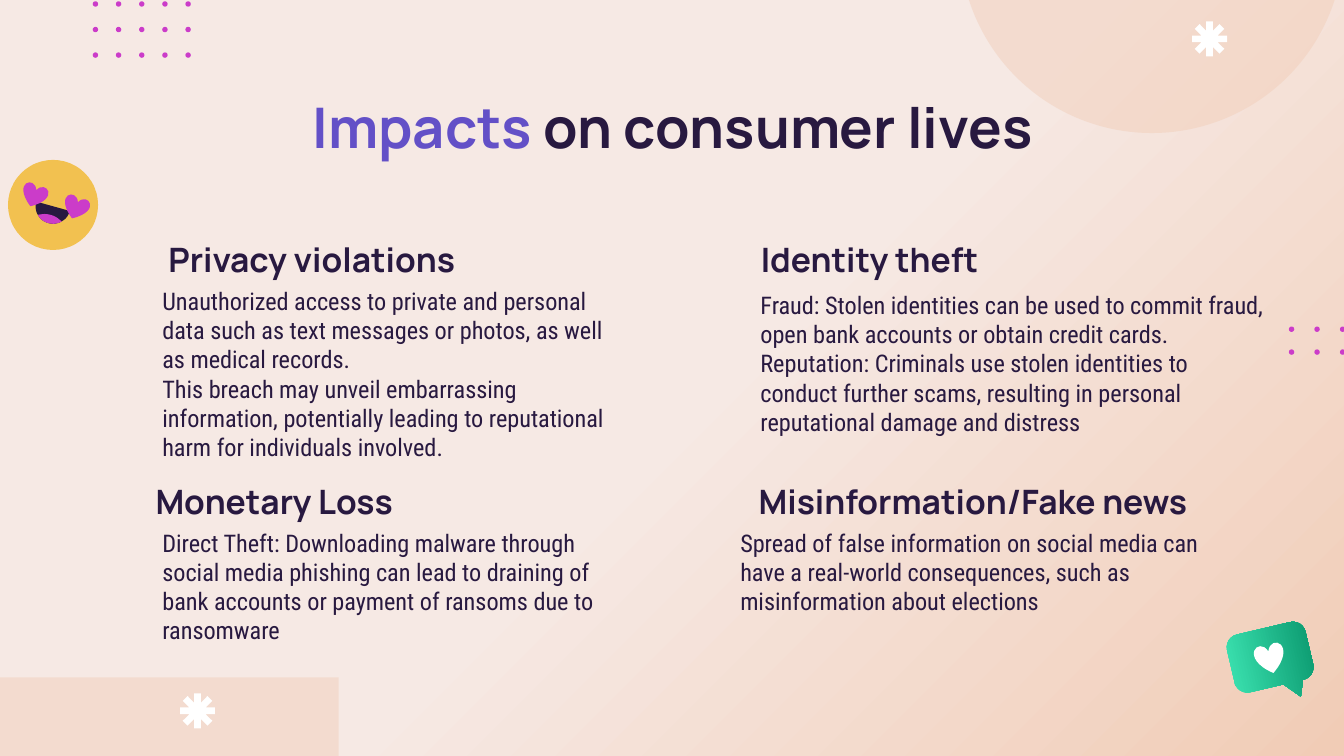
from copy import deepcopy
from itertools import product
from math import cos, radians, sin

from lxml import etree
from pptx import Presentation
from pptx import util as u
from pptx.dml.color import RGBColor
from pptx.enum import shapes, text
from pptx.oxml import ns

HUE = {
    "ink": "281940", "violet": "6350C7", "pink": "CB3CC9", "gold": "F2C150",
    "pale": "F6E9E4", "peach": "F1CCB6", "white": "FFFFFF",
    "mint": "3FE7B5", "green": "09966C",
}
KIND = shapes.MSO_SHAPE
TOP, BASE = text.MSO_ANCHOR.TOP, text.MSO_ANCHOR.BOTTOM
LEFT, MID = text.PP_ALIGN.LEFT, text.PP_ALIGN.CENTER
STYLE = {
    "title": {"name": "Manrope", "size": u.Pt(30), "bold": True},
    "head": {"name": "Manrope", "size": u.Pt(18), "bold": True},
    "body": {"name": "Roboto Condensed", "size": u.Pt(13), "bold": False},
}
PAD = u.Inches(0.1)
FRAME = {
    "word_wrap": True, "margin_left": PAD, "margin_right": PAD,
    "margin_top": PAD, "margin_bottom": PAD,
}


def tint(name):
    return RGBColor.from_string(HUE[name])


def blend(fill, stops, angle):
    """Fill with a linear gradient of two (position, colour) stops."""
    fill.gradient()
    fill.gradient_angle = angle
    for stop, (pos, name) in zip(fill.gradient_stops, stops):
        stop.position = pos
        stop.color.rgb = tint(name)


def paint(shape, name, alpha=None):
    shape.shadow.inherit = False
    shape.line.fill.background()
    shape.fill.solid()
    shape.fill.fore_color.rgb = tint(name)
    if alpha:
        clr = shape.fill._xPr.find(".//" + ns.qn("a:srgbClr"))
        etree.SubElement(clr, ns.qn("a:alpha"), val=str(alpha * 1000))


def stamp(slide, kind, box, name, turn=0, alpha=None):
    """Add a preset shape in a flat colour."""
    shape = slide.shapes.add_shape(kind, *map(u.Inches, box))
    shape.rotation = turn
    paint(shape, name, alpha)
    return shape


def trace(slide, points, name):
    """Add a closed outline through points given in inches."""
    pts = [(x * 1000, y * 1000) for x, y in points]
    pen = slide.shapes.build_freeform(*pts[0], scale=914.4)
    pen.add_line_segments(pts[1:], close=True)
    paint(pen.convert_to_shape(), name)


def spin(x, y, mid, turn):
    c, s = cos(radians(turn)), sin(radians(turn))
    return mid[0] + x * c - y * s, mid[1] + x * s + y * c


def dots(slide, box, cols, rows):
    """Spread dots evenly over a box."""
    left, top, width, height = box
    size = 0.04
    dx, dy = (width - size) / (cols - 1), (height - size) / (rows - 1)
    for i, j in product(range(cols), range(rows)):
        spot = (left + i * dx, top + j * dy, size, size)
        stamp(slide, KIND.OVAL, spot, "pink")


def star(slide, mid):
    """Add an asterisk with eight arms."""
    half, reach = 0.025, 0.13
    notch = half / sin(radians(22.5))
    arm = [(reach, -half), (reach, half),
           (notch * cos(radians(22.5)), half)]
    trace(slide, [spin(x, y, mid, 45 * k)
                  for k in range(8) for x, y in arm], "white")


def smile(slide, left, top):
    """Add the round face with heart eyes."""
    size, rad, tilt = 0.67, 0.13, 15.6
    stamp(slide, KIND.OVAL, (left, top, size, size), "gold")
    mid = (left + 0.335, top + 0.345)

    def curve(start, end):
        step = 5 if end > start else -5
        return [radians(a) for a in range(start, end + step, step)]

    mouth = [(rad * cos(a), rad * sin(a)) for a in curve(0, 180)]
    tongue = [(rad * cos(a), rad * sin(a)) for a in curve(45, 135)]
    tongue += [(rad * cos(a), 0.066 + 0.052 * cos(a) ** 2)
               for a in curve(135, 45)]
    for part, name in ((mouth, "ink"), (tongue, "pink")):
        trace(slide, [spin(x, y, mid, tilt) for x, y in part], name)
    for x, y in ((0.1, 0.18), (0.41, 0.27)):
        stamp(slide, KIND.HEART, (left + x, top + y, 0.19, 0.17), "pink", 20)


def like(slide, left, top):
    """Add the speech bubble with a heart."""
    turn = -13.2
    box = (left, top, 0.6, 0.44)
    bub = stamp(slide, KIND.ROUNDED_RECTANGULAR_CALLOUT, box, "mint", turn)
    for i, val in enumerate((0.26, 0.77, 0.22)):
        bub.adjustments[i] = val
    blend(bub.fill, ((0, "mint"), (1, "green")), 0)
    stamp(slide, KIND.HEART, (left + 0.19, top + 0.12, 0.22, 0.22),
          "white", turn)


def write(slide, box, paras, style, align=LEFT, anchor=TOP):
    """Add text; each paragraph is a list of (words, colour) runs.

    A newline within a run becomes a line break in the same style.
    """
    frame = slide.shapes.add_textbox(*map(u.Inches, box)).text_frame
    for key, val in {**FRAME, "vertical_anchor": anchor}.items():
        setattr(frame, key, val)
    for i, runs in enumerate(paras):
        para = frame.add_paragraph() if i else frame.paragraphs[0]
        para.alignment = align
        for words, name in runs:
            for k, line in enumerate(words.split("\n")):
                if k:
                    para.add_line_break()
                    para._p[-1].append(deepcopy(run._r.rPr))
                run = para.add_run()
                run.text = line
                for key, val in STYLE[style].items():
                    setattr(run.font, key, val)
                run.font.color.rgb = tint(name)


def topic(slide, head, spot, title, lines):
    """Add a heading centred in one box and its text in another."""
    write(slide, spot, [[(line, "ink")] for line in lines], "body")
    write(slide, head, [[(title, "ink")]], "head", MID, BASE)


def decor(slide):
    blend(slide.background.fill, ((0.52, "pale"), (1, "peach")), 315)
    stamp(slide, KIND.OVAL, (7.14, -1.87, 2.86, 2.86), "peach", alpha=45)
    dots(slide, (0.69, 0.01, 0.73, 0.42), 5, 3)
    dots(slide, (9.59, 2.43, 0.42, 0.21), 3, 2)
    star(slide, (9, 0.29))
    stamp(slide, KIND.RECTANGLE, (-0.5, 5.04, 3.02, 1.5), "peach", alpha=45)
    star(slide, (1.47, 5.29))
    smile(slide, 0.06, 1.19)


TOPICS = [
    ((0.49, 1.6, 3.66, 0.58), (1.11, 2.03, 3.66, 1.19),
     "Privacy violations",
     ["Unauthorized access to private and personal data such as text "
      "messages or photos, as well as medical records. \n"
      "This breach may unveil embarrassing information, potentially "
      "leading to reputational harm for individuals involved."]),
    ((4.64, 1.6, 3.66, 0.58), (5.56, 2.06, 3.96, 0.92),
     "Identity theft",
     ["Fraud: Stolen identities can be used to commit fraud, open bank "
      "accounts or obtain credit cards.",
      "Reputation: Criminals use stolen identities to conduct further "
      "scams, resulting in personal reputational damage and distress"]),
    ((-0.05, 3.4, 4.18, 0.58), (1.11, 3.83, 3.66, 1.19),
     "Monetary Loss",
     ["Direct Theft: Downloading malware through social media phishing can "
      "lead to draining of bank accounts or payment of ransoms due to "
      "ransomware"]),
    ((5.41, 3.4, 3.66, 0.58), (5.41, 3.83, 3.66, 0.92),
     "Misinformation/Fake news",
     ["Spread of false information on social media can have a real-world "
      "consequences, such as misinformation about elections"]),
]


def main():
    deck = Presentation()
    deck.slide_width = u.Inches(10)
    deck.slide_height = deck.slide_width * 9 // 16
    slide = deck.slides.add_slide(deck.slide_layouts[6])
    decor(slide)
    write(slide, (0.79, 0.59, 8.43, 0.63),
          [[("Impacts ", "violet"), ("on consumer lives", "ink")]],
          "title", MID)
    for item in TOPICS:
        topic(slide, *item)
    like(slide, 9.15, 4.67)
    deck.save("out.pptx")


if __name__ == "__main__":
    main()
